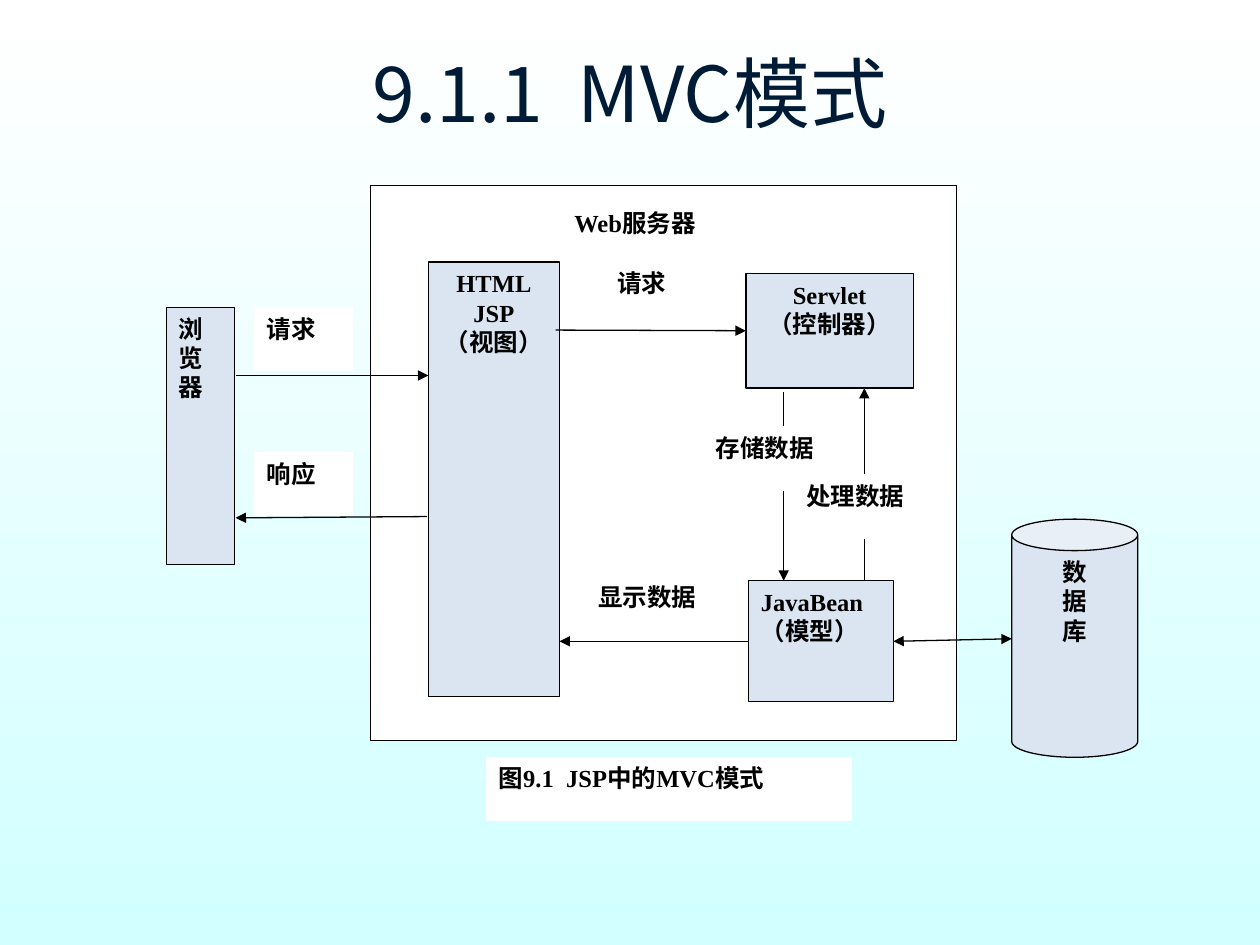
from lxml import etree
from pptx import Presentation
from pptx.dml.color import RGBColor
from pptx.enum.shapes import MSO_CONNECTOR, MSO_SHAPE
from pptx.enum.text import MSO_ANCHOR, PP_ALIGN
from pptx.oxml.ns import qn
from pptx.util import Inches, Pt

RECT, CAN = MSO_SHAPE.RECTANGLE, MSO_SHAPE.CAN
LEFT, CENTER = PP_ALIGN.LEFT, PP_ALIGN.CENTER
TOP, MIDDLE = MSO_ANCHOR.TOP, MSO_ANCHOR.MIDDLE
STRAIGHT = MSO_CONNECTOR.STRAIGHT
LEFT_SIDE, RIGHT_SIDE = 1, 3

COLORS = {"title": "001B36", "ink": "000000", "node": "DBE5F1",
          "white": "FFFFFF", "sky": "D2FFFF"}
TITLE_FONT, BODY_FONT = "Noto Sans CJK SC", "Times New Roman"

TITLE = "9.1.1  MVC模式"
# name: shape, (left, top, width, height), fill, alignment, text
NODES = {
    "browser": (RECT, (1.32, 2.44, 0.54, 2.04), "node", LEFT, "浏\n览\n器"),
    "server": (RECT, (2.94, 1.47, 4.65, 4.41), "white", LEFT, ""),
    "view": (RECT, (3.4, 2.08, 1.04, 3.45), "node", CENTER, "HTML\nJSP\n（视图）"),
    "controller": (RECT, (5.92, 2.17, 1.33, 0.91), "node", CENTER, "Servlet\n（控制器）"),
    "model": (RECT, (5.94, 4.61, 1.15, 0.96), "node", LEFT, "JavaBean\n（模型）"),
    "database": (CAN, (8.03, 4.12, 1, 1.89), "node", CENTER, "数\n据\n库"),
}
# start, end, joined start, joined end, arrowhead at both ends
ARROWS = [
    ((1.87, 2.98), (3.4, 2.98), None, None, False),
    ((3.39, 4.1), (1.87, 4.11), None, None, False),
    ((4.41, 2.62), (5.92, 2.62), None, ("controller", LEFT_SIDE), False),
    ((6.22, 3.11), (6.22, 4.61), None, None, False),
    ((6.86, 4.61), (6.86, 3.08), None, None, False),
    ((5.94, 5.09), (4.44, 5.09), ("model", LEFT_SIDE), None, False),
    ((7.09, 5.09), (8.03, 5.07), ("model", RIGHT_SIDE), None, True),
]
# left, top, width, text
LABELS = [
    (4.46, 1.6, 1.43, "Web服务器"),
    (2.02, 2.44, 0.78, "请求"),
    (2.02, 3.59, 0.78, "响应"),
    (4.8, 2.08, 0.78, "请求"),
    (4.65, 4.57, 1.18, "显示数据"),
    (5.58, 3.39, 1.18, "存储数据"),
    (6.3, 3.77, 1.18, "处理数据"),
    (3.86, 6.01, 2.9, "图9.1  JSP中的MVC模式"),
]
LABEL_HEIGHT = 0.48


def rgb(name):
    return RGBColor.from_string(COLORS[name])


def write(shape, text, size, font, color, bold, align, anchor):
    frame = shape.text_frame
    frame.word_wrap = True
    frame.vertical_anchor = anchor
    frame.text = text
    for para in frame.paragraphs:
        para.alignment = align
        for span in para.runs:
            span.font.size, span.font.bold = Pt(size), bold
            span.font.name = font
            span.font.color.rgb = rgb(color)


def add_box(page, kind, place, fill, line, align, text):
    box = page.shapes.add_shape(kind, *map(Inches, place))
    box.shadow.inherit = False
    box.fill.solid()
    box.fill.fore_color.rgb = rgb(fill)
    box.line.color.rgb = rgb(line)
    box.line.width = Pt(0.75)
    if text:
        write(box, text, 14, BODY_FONT, "ink", True, align, TOP)
    return box


def add_arrow(page, boxes, start, end, joined_start, joined_end, double):
    arrow = page.shapes.add_connector(STRAIGHT, *map(Inches, start + end))
    if joined_start:
        arrow.begin_connect(boxes[joined_start[0]], joined_start[1])
    if joined_end:
        arrow.end_connect(boxes[joined_end[0]], joined_end[1])
    arrow.line.color.rgb = rgb("ink")
    arrow.line.width = Pt(0.75)
    line = arrow.line._get_or_add_ln()
    for tag in ("a:headEnd", "a:tailEnd") if double else ("a:tailEnd",):
        etree.SubElement(line, qn(tag), type="triangle")
    etree.SubElement(arrow._element.spPr, qn("a:effectLst"))


def main():
    deck = Presentation()
    deck.slide_width, deck.slide_height = Inches(10), Inches(7.5)
    page = deck.slides.add_slide(deck.slide_layouts[6])

    # Background fading downwards from white
    fill = page.background.fill
    fill.gradient()
    fill.gradient_angle = 270
    for stop, color in zip(fill.gradient_stops, ("white", "sky")):
        stop.color.rgb = rgb(color)

    # Title
    title = page.shapes.add_textbox(*map(Inches, (0.5, 0.3, 9, 0.85)))
    write(title, TITLE, 44, TITLE_FONT, "title", False, CENTER, MIDDLE)

    # Nodes, then arrows, then the labels that interrupt them
    boxes = {name: add_box(page, kind, place, color, "ink", align, text)
             for name, (kind, place, color, align, text) in NODES.items()}
    for arrow in ARROWS:
        add_arrow(page, boxes, *arrow)
    for left, top, width, text in LABELS:
        place = (left, top, width, LABEL_HEIGHT if top < 2 else 0.5)
        add_box(page, RECT, place, "white", "white", LEFT, text)

    deck.save("out.pptx")


if __name__ == "__main__":
    main()
